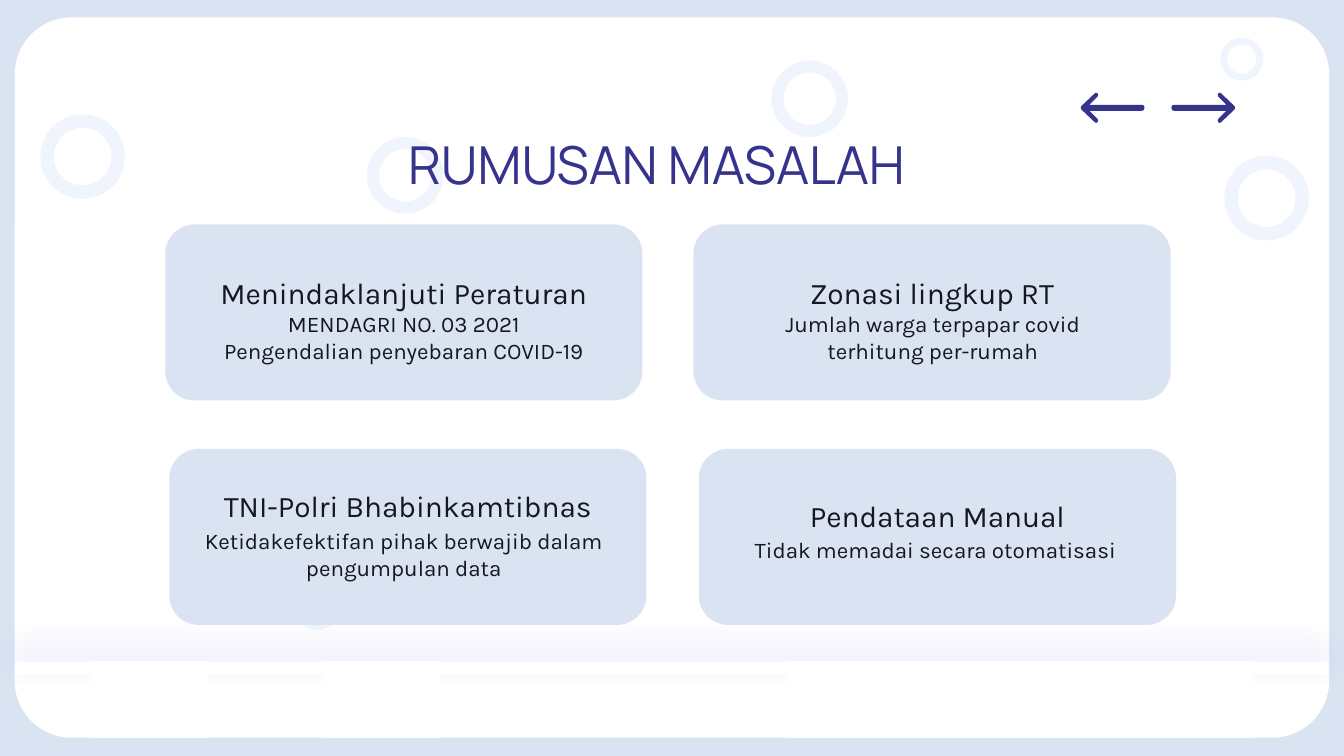
from lxml import etree
from pptx import Presentation
from pptx.dml.color import RGBColor
from pptx.enum.shapes import MSO_CONNECTOR, MSO_SHAPE
from pptx.enum.text import MSO_ANCHOR, PP_ALIGN
from pptx.oxml.ns import qn
from pptx.util import Inches, Pt

ROUNDED, DONUT, RECTANGLE = MSO_SHAPE.ROUNDED_RECTANGLE, MSO_SHAPE.DONUT, MSO_SHAPE.RECTANGLE
CENTER, RIGHT, MIDDLE = PP_ALIGN.CENTER, PP_ALIGN.RIGHT, MSO_ANCHOR.MIDDLE
PALE_BLUE, RING_BLUE, WHITE = "DAE3F2", "F0F5FD", "FFFFFF"
INDIGO, INK, GLOW = "36338C", "161620", "7966E4"

deck = Presentation()
deck.slide_width = Inches(10)
deck.slide_height = deck.slide_width * 9 // 16
page = deck.slides.add_slide(deck.slide_layouts[0])
page.background.fill.solid()
page.background.fill.fore_color.rgb = RGBColor.from_string(PALE_BLUE)


def paint(shape, color):
    """Give the shape a plain fill without line or shadow."""
    shape.shadow.inherit = False
    shape.fill.solid()
    shape.fill.fore_color.rgb = RGBColor.from_string(color)
    shape.line.fill.background()


def write_text(box, area, lines, size, font="Karla", color=INK, align=CENTER, side_inset=0.1):
    """Place the box on top of the page and set its text."""
    page.shapes._spTree.append(box.element)
    box.left, box.top, box.width, box.height = [Inches(length) for length in area]
    frame = box.text_frame
    frame.word_wrap = True
    frame.vertical_anchor = MIDDLE
    frame.margin_left = frame.margin_right = Inches(side_inset)
    frame.margin_top = frame.margin_bottom = Inches(0.1)
    frame.text = "\n".join(lines)
    for para in frame.paragraphs:
        para.alignment = align
        para.space_before = Pt(0)
        para.font.name, para.font.size = font, Pt(size)
        para.font.color.rgb = RGBColor.from_string(color)


# White panel with rings
PANEL_LEFT, PANEL_WIDTH = 0.11, 9.78
panel = page.shapes.add_shape(ROUNDED, Inches(PANEL_LEFT), Inches(0.13),
                              Inches(PANEL_WIDTH), Inches(5.36))
panel.adjustments[0] = 0.079
paint(panel, WHITE)
for left, top, diameter in [(0.3, 0.85, 0.63), (9.08, 0.28, 0.32), (9.11, 1.16, 0.63),
                            (2.73, 1.02, 0.57), (5.74, 0.45, 0.57), (2.2, 4.37, 0.32)]:
    ring = page.shapes.add_shape(DONUT, Inches(left), Inches(top),
                                 Inches(diameter), Inches(diameter))
    ring.adjustments[0] = 0.159
    paint(ring, RING_BLUE)

write_text(page.shapes.title, (0.78, 0.9, 5.95, 0.63), ["RUMUSAN MASALAH"], 28,
           "Manrope", INDIGO, RIGHT, 0)

# Glowing footer line, with a white strip and tabs below it
FOOTER_TOP = 4.93
footer_line = page.shapes.add_connector(
    MSO_CONNECTOR.STRAIGHT, Inches(PANEL_LEFT + PANEL_WIDTH), Inches(FOOTER_TOP),
    Inches(PANEL_LEFT), Inches(FOOTER_TOP))
footer_line.line.color.rgb = RGBColor.from_string(WHITE)
footer_line.line.width = Pt(0.75)
effects = etree.SubElement(footer_line.element.spPr, qn("a:effectLst"))
shadow = etree.SubElement(effects, qn("a:outerShdw"), blurRad=str(Pt(15.8)), dist=str(Pt(4.5)),
                          dir=str(264 * 60000), algn="bl", rotWithShape="0")
etree.SubElement(shadow, qn("a:srgbClr"), val=GLOW)

TAB_PITCH = 7.77 / 9
strip_areas = [(PANEL_LEFT, FOOTER_TOP, PANEL_WIDTH, 0.09)]
strip_areas += [(0.68 + column * TAB_PITCH, 4.92, 0.87, 0.57) for column in (2, 0, 6, 8, 9, 7)]
for area in strip_areas:
    strip = page.shapes.add_shape(RECTANGLE, *[Inches(length) for length in area])
    paint(strip, WHITE)

# Navigation arrows, in hundredths of an inch from the tail towards the tip
ARROW_OUTLINE = [(0, 11), (0.5, 9.5), (2, 9), (41, 9), (35, 3), (34.5, 1.5), (35, 0.5), (36, 0),
                 (37, 0.5), (47, 10), (47.5, 11.25), (47, 12.5), (37, 22), (36, 22.5),
                 (35, 22), (34.5, 21), (35, 19.5), (41, 13.5), (2, 13.5), (0.5, 13)]
for tail, direction in [(872, 1), (852, -1)]:
    points = [((tail + direction * x) * 10, (69 + y) * 10) for x, y in ARROW_OUTLINE]
    builder = page.shapes.build_freeform(*points[0], scale=Inches(0.001))
    builder.add_line_segments(points[1:], close=True)
    paint(builder.convert_to_shape(), INDIGO)

# Cards: left, top, heading, heading top, body lines, body top, body left, body width
CARD_WIDTH, CARD_HEIGHT, TEXT_HEIGHT = 3.55, 1.31, 0.56
CARDS = [
    (1.23, 1.67, "Menindaklanjuti Peraturan", 1.9,
     ["MENDAGRI NO. 03 2021", "Pengendalian penyebaran COVID-19"], 2.23, 1.23, 3.55),
    (5.16, 1.67, "Zonasi lingkup RT", 1.9,
     ["Jumlah warga terpapar covid terhitung per-rumah"], 2.23, 5.5, 2.88),
    (1.26, 3.34, "TNI-Polri Bhabinkamtibnas", 3.48,
     ["Ketidakefektifan pihak berwajib dalam pengumpulan data"], 3.84, 1.42, 3.17),
    (5.2, 3.34, "Pendataan Manual", 3.56,
     ["Tidak memadai secara otomatisasi"], 3.81, 5.2, 3.52),
]
subtitle = page.placeholders[1]
for number, card in enumerate(CARDS):
    left, top, heading, heading_top, body, body_top, body_left, body_width = card
    panel = page.shapes.add_shape(ROUNDED, Inches(left), Inches(top),
                                  Inches(CARD_WIDTH), Inches(CARD_HEIGHT))
    paint(panel, PALE_BLUE)
    heading_box = subtitle if number == 0 else page.shapes.add_textbox(0, 0, 0, 0)
    write_text(heading_box, (left, heading_top, CARD_WIDTH, TEXT_HEIGHT), [heading], 16)
    body_box = page.shapes.add_textbox(0, 0, 0, 0)
    write_text(body_box, (body_left, body_top, body_width, TEXT_HEIGHT), body, 12)

deck.save("out.pptx")
